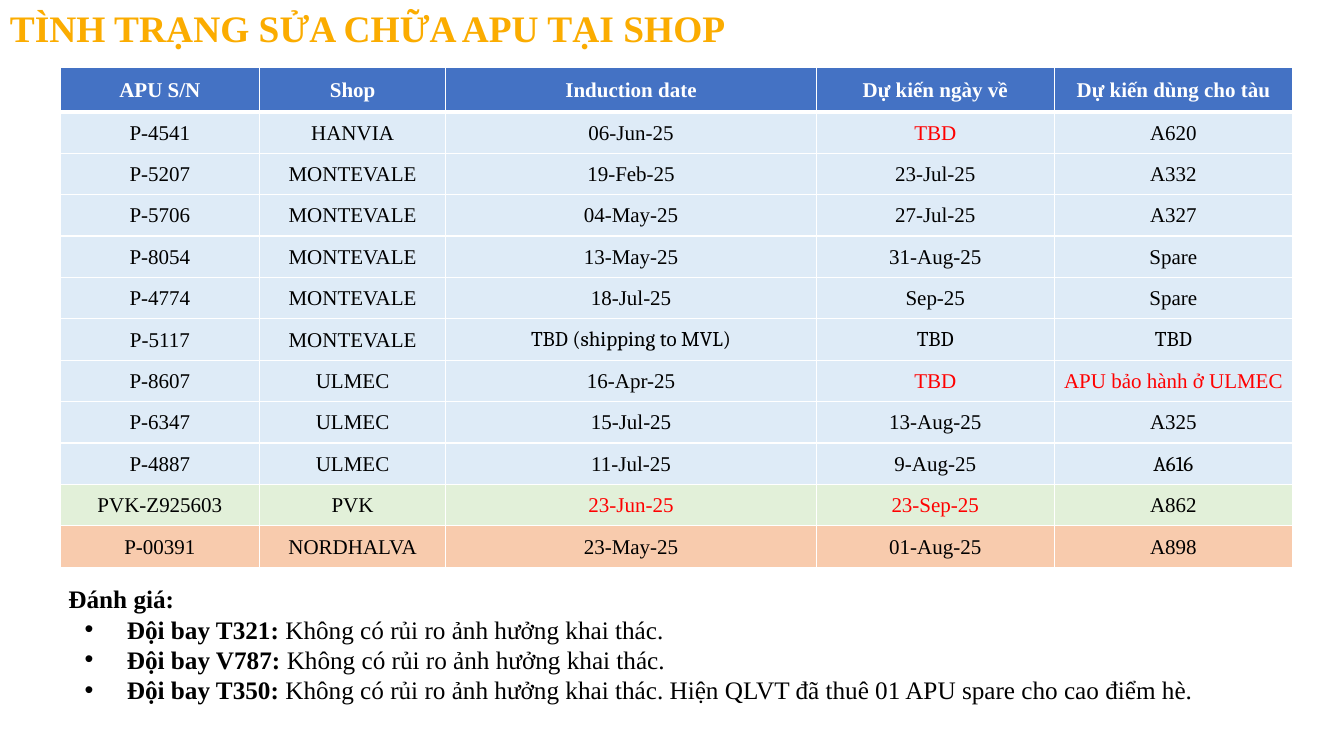
from dataclasses import dataclass

from lxml.etree import SubElement
from pptx import Presentation
from pptx.dml.color import RGBColor as Rgb
from pptx.enum.text import MSO_ANCHOR as Anchor, MSO_AUTO_SIZE as AutoSize, PP_ALIGN as Align
from pptx.oxml import parse_xml
from pptx.oxml.ns import nsdecls, qn
from pptx.util import Inches, Pt

GRID_UNIT = Inches(0.01)
GRID_COLUMNS, GRID_ROWS = 1333, 750


@dataclass(frozen=True)
class Theme:
    """Colours, fonts and type sizes of the slide."""
    serif: str = "Times New Roman"
    alternate: str = "Cambria"
    title: str = "FBAC00"
    header: str = "4472C4"
    white: str = "FFFFFF"
    text: str = "000000"
    alert: str = "FF0000"
    blue_band: str = "DEEBF7"
    green_band: str = "E2F0D9"
    orange_band: str = "F8CBAD"
    title_size: float = 26.7
    table_size: float = 15
    note_size: float = 18


@dataclass(frozen=True)
class Box:
    """An area given in columns and rows of the slide grid."""
    column: int
    row: int
    columns: int
    rows: int

    def emu(self):
        """Return left, top, width and height as lengths."""
        return [n * GRID_UNIT for n in (self.column, self.row, self.columns, self.rows)]


THEME = Theme()
TITLE = "TÌNH TRẠNG SỬA CHỮA APU TẠI SHOP"
COLUMN_SHARES = [197, 185, 367, 236, 236]
HEADER_SHARE, BODY_SHARE = 44, 41.1
HEADINGS = ["APU S/N", "Shop", "Induction date", "Dự kiến ngày về", "Dự kiến dùng cho tàu"]
REPAIRS = [
    ["P-4541", "HANVIA", "06-Jun-25", "TBD", "A620"],
    ["P-5207", "MONTEVALE", "19-Feb-25", "23-Jul-25", "A332"],
    ["P-5706", "MONTEVALE", "04-May-25", "27-Jul-25", "A327"],
    ["P-8054", "MONTEVALE", "13-May-25", "31-Aug-25", "Spare"],
    ["P-4774", "MONTEVALE", "18-Jul-25", "Sep-25", "Spare"],
    ["P-5117", "MONTEVALE", "TBD (shipping to MVL)", "TBD", "TBD"],
    ["P-8607", "ULMEC", "16-Apr-25", "TBD", "APU bảo hành ở ULMEC"],
    ["P-6347", "ULMEC", "15-Jul-25", "13-Aug-25", "A325"],
    ["P-4887", "ULMEC", "11-Jul-25", "9-Aug-25", "A616"],
    ["PVK-Z925603", "PVK", "23-Jun-25", "23-Sep-25", "A862"],
    ["P-00391", "NORDHALVA", "23-May-25", "01-Aug-25", "A898"],
]
BANDS = {10: THEME.green_band, 11: THEME.orange_band}
ALERT_CELLS = {(1, 3), (7, 3), (7, 4), (10, 2), (10, 3)}
ALTERNATE_CELLS = {(6, 2), (6, 3), (6, 4), (9, 4)}
NOTE_HEADING = "Đánh giá:"
NO_RISK = "Không có rủi ro ảnh hưởng khai thác."
FLEET_NOTES = [
    ("Đội bay T321: ", NO_RISK),
    ("Đội bay V787: ", NO_RISK),
    ("Đội bay T350: ", f"{NO_RISK} Hiện QLVT đã thuê 01 APU spare cho cao điểm hè."),
]


def set_font(paragraph, size, color, bold=None, name=THEME.serif):
    """Set the font shared by every run of a paragraph."""
    font = paragraph.font
    font.name, font.size, font.bold = name, Pt(size), bold
    font.color.rgb = Rgb.from_string(color)


def set_borders(cell, bottom_width):
    """Draw white borders round a table cell."""
    widths = {"lnL": 1, "lnR": 1, "lnT": 1, "lnB": bottom_width}
    properties = cell._tc.get_or_add_tcPr()
    for position, (side, width) in enumerate(widths.items()):
        properties.insert(position, parse_xml(
            f'<a:{side} {nsdecls("a")} w="{Pt(width)}"><a:solidFill>'
            f'<a:srgbClr val="{THEME.white}"/></a:solidFill></a:{side}>'))


def add_text_area(slide, box):
    """Add a wrapping text area that grows with its text."""
    frame = slide.shapes.add_textbox(*box.emu()).text_frame
    frame.word_wrap = True
    frame.auto_size = AutoSize.SHAPE_TO_FIT_TEXT
    return frame


def add_title(slide, box):
    """Add the slide title."""
    heading = add_text_area(slide, box).paragraphs[0]
    heading.text = TITLE
    set_font(heading, THEME.title_size, THEME.title, True)


def fill_cell(cell, text, row, column):
    """Write and style one cell according to its place in the table."""
    is_header = row == 0
    cell.margin_left = cell.margin_right = cell.margin_top = GRID_UNIT
    cell.margin_bottom = 0
    cell.vertical_anchor = Anchor.MIDDLE
    cell.fill.solid()
    band = THEME.header if is_header else BANDS.get(row, THEME.blue_band)
    cell.fill.fore_color.rgb = Rgb.from_string(band)
    set_borders(cell, 3 if is_header or row == 0 else 1)
    entry = cell.text_frame.paragraphs[0]
    entry.text = text
    entry.alignment = Align.CENTER
    body_color = THEME.alert if (row, column) in ALERT_CELLS else THEME.text
    name = THEME.alternate if (row, column) in ALTERNATE_CELLS else THEME.serif
    set_font(entry, THEME.table_size, THEME.white if is_header else body_color, is_header, name)


def add_repair_table(slide, box):
    """Add the table of units under repair."""
    left, top, width, height = box.emu()
    records = [HEADINGS, *REPAIRS]
    table = slide.shapes.add_table(len(records), len(HEADINGS), left, top, width, height).table
    table.horz_banding = False
    for column, share in zip(table.columns, COLUMN_SHARES):
        column.width = int(width * share / sum(COLUMN_SHARES))
    row_shares = [HEADER_SHARE] + [BODY_SHARE] * len(REPAIRS)
    for row, share in zip(table.rows, row_shares):
        row.height = int(height * share / sum(row_shares))
    for row, record in enumerate(records):
        for column, text in enumerate(record):
            fill_cell(table.cell(row, column), text, row, column)


def add_fleet_notes(slide, box):
    """Add the assessment heading and a bullet for each fleet."""
    frame = add_text_area(slide, box)
    heading = frame.paragraphs[0]
    heading.text = NOTE_HEADING
    set_font(heading, THEME.note_size, THEME.text, True)
    for fleet, assessment in FLEET_NOTES:
        note = frame.add_paragraph()
        properties = note._p.get_or_add_pPr()
        properties.set("marL", str(58 * GRID_UNIT))
        properties.set("indent", str(-42 * GRID_UNIT))
        SubElement(properties, qn("a:buFont"), typeface="Arial")
        SubElement(properties, qn("a:buChar"), char="•")
        set_font(note, THEME.note_size, THEME.text)
        for text, bold in ((fleet, True), (assessment, False)):
            run = note.add_run()
            run.text, run.font.bold = text, bold


def main():
    """Build and save the repair status slide."""
    deck = Presentation()
    deck.slide_width = GRID_COLUMNS * GRID_UNIT
    deck.slide_height = GRID_ROWS * GRID_UNIT
    slide = deck.slides.add_slide(deck.slide_layouts[6])
    add_repair_table(slide, Box(60, 67, 1222, 496))
    add_fleet_notes(slide, Box(58, 574, 1265, 131))
    add_title(slide, Box(0, 0, 823, 55))
    deck.save("out.pptx")


if __name__ == "__main__":
    main()
